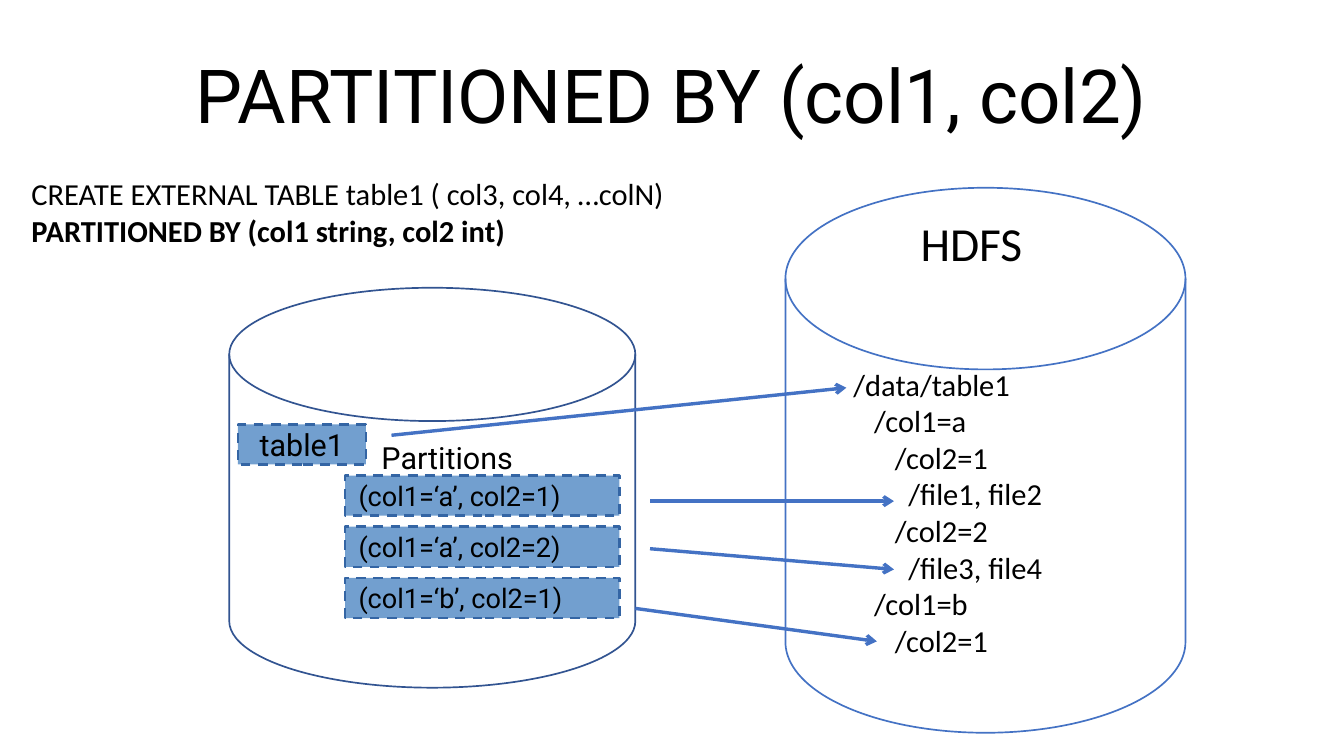
import pptx
import pptx.util
import pptx.dml.color
import pptx.enum.dml
import pptx.enum.shapes
import pptx.enum.text
import pptx.oxml
import pptx.oxml.ns
from pptx.util import Inches

COLORS = {
    "text": "000000",
    "white": "FFFFFF",
    "table_store": "325491",
    "accent": "4472C4",
    "box_fill": "729FCF",
    "box_line": "3465A4",
}
SHAPES = pptx.enum.shapes.MSO_SHAPE
ALIGN = pptx.enum.text.PP_ALIGN
ANCHOR = pptx.enum.text.MSO_ANCHOR

PARTITIONS = ["(col1=‘a’, col2=1)", "(col1=‘a’, col2=2)", "(col1=‘b’, col2=1)"]

# Directory entries with their indent in inches
DIRECTORIES = [
    ("/data/table1", 0),
    ("/col1=a", 0.17),
    ("/col2=1", 0.34),
    ("/file1, file2", 0.45),
    ("/col2=2", 0.34),
    ("/file3, file4", 0.45),
    ("/col1=b", 0.17),
    ("/col2=1", 0.34),
]

# Arrows from the table side to the directory side: x1, y1, x2, y2
ARROWS = [
    (3.21, 3.57, 6.94, 3.18),
    (5.33, 4.11, 7.33, 4.11),
    (5.33, 4.5, 7.33, 4.67),
    (5.21, 4.99, 7.19, 5.26),
]


def rgb(name):
    return pptx.dml.color.RGBColor.from_string(COLORS[name])


def style_paragraph(paragraph, size, font, align=ALIGN.LEFT):
    paragraph.alignment = align
    paragraph.font.size = pptx.util.Pt(size)
    paragraph.font.name = font
    paragraph.font.color.rgb = rgb("text")


def set_margins(frame, horizontal, vertical):
    frame.margin_left = frame.margin_right = Inches(horizontal)
    frame.margin_top = frame.margin_bottom = Inches(vertical)


def add_text(slide, box, lines, size, font="Calibri", align=ALIGN.LEFT, wrap=True):
    frame = slide.shapes.add_textbox(*map(Inches, box)).text_frame
    frame.word_wrap = wrap
    frame.text = "\n".join(lines)
    for paragraph in frame.paragraphs:
        style_paragraph(paragraph, size, font, align)
    return frame


def add_outlined(slide, kind, box, fill, line, width):
    shape = slide.shapes.add_shape(kind, *map(Inches, box))
    shape.shadow.inherit = False
    if fill:
        shape.fill.solid()
        shape.fill.fore_color.rgb = rgb(fill)
    else:
        shape.fill.background()
    shape.line.color.rgb = rgb(line)
    shape.line.width = pptx.util.Pt(width)
    return shape


def add_cylinder(slide, box, fill, line):
    add_outlined(slide, SHAPES.FLOWCHART_MAGNETIC_DISK, box, fill, line, 1)


def add_dashed_box(slide, box, text, size, align=ALIGN.LEFT):
    shape = add_outlined(slide, SHAPES.RECTANGLE, box, "box_fill", "box_line", 1.45)
    shape.line.dash_style = pptx.enum.dml.MSO_LINE.DASH
    frame = shape.text_frame
    frame.text = text
    frame.vertical_anchor = ANCHOR.MIDDLE
    set_margins(frame, 0.11, 0.06)
    style_paragraph(frame.paragraphs[0], size, "Roboto", align)


def add_arrow(slide, ends):
    arrow = slide.shapes.add_connector(
        pptx.enum.shapes.MSO_CONNECTOR.STRAIGHT, *map(Inches, ends))
    arrow.line.color.rgb = rgb("accent")
    arrow.line.width = pptx.util.Pt(2)
    head = pptx.oxml.parse_xml(
        f'<a:tailEnd {pptx.oxml.ns.nsdecls("a")} type="arrow"/>')
    arrow.line._get_or_add_ln().append(head)
    arrow._element.spPr.append(
        pptx.oxml.parse_xml(f'<a:effectLst {pptx.oxml.ns.nsdecls("a")}/>'))


def main():
    deck = pptx.Presentation()
    deck.slide_width, deck.slide_height = Inches(11.02), Inches(6.2)
    slide = deck.slides.add_slide(deck.slide_layouts[6])

    # Title
    title = add_text(slide, (0.55, 0.25, 9.92, 1.04),
                     ["PARTITIONED BY (col1, col2)"], 44, "Roboto", ALIGN.CENTER)
    title.vertical_anchor = ANCHOR.MIDDLE
    set_margins(title, 0, 0)

    # Storage cylinders
    add_cylinder(slide, (1.88, 2.36, 3.33, 3.28), None, "table_store")
    add_cylinder(slide, (6.44, 1.54, 3.28, 4.47), "white", "accent")
    add_text(slide, (7.45, 1.71, 1.04, 0.57), ["HDFS"], 28, wrap=False)

    # Directory tree
    tree = add_text(slide, (6.9, 2.95, 2.7, 2.52),
                    [name for name, indent in DIRECTORIES], 18)
    for paragraph, (name, indent) in zip(tree.paragraphs, DIRECTORIES):
        paragraph._p.get_or_add_pPr().set("marL", str(Inches(indent)))

    # Table and its partitions
    add_dashed_box(slide, (1.95, 3.48, 1.05, 0.33), "table1", 18, ALIGN.CENTER)
    add_text(slide, (3.03, 3.55, 1.77, 0.4), ["Partitions"], 18, "Roboto")
    for row, partition in enumerate(PARTITIONS):
        add_dashed_box(slide, (2.83, 3.9 + 0.42 * row, 2.25, 0.33), partition, 16)

    # Arrows to the directories
    for ends in ARROWS:
        add_arrow(slide, ends)

    # Table definition
    statement = add_text(slide, (0.16, 1.39, 5.63, 0.71), [
        "CREATE EXTERNAL TABLE table1 ( col3, col4, …colN)",
        "PARTITIONED BY (col1 string, col2 int)",
    ], 18, wrap=False)
    statement.paragraphs[1].font.bold = True

    deck.save("out.pptx")


if __name__ == "__main__":
    main()
